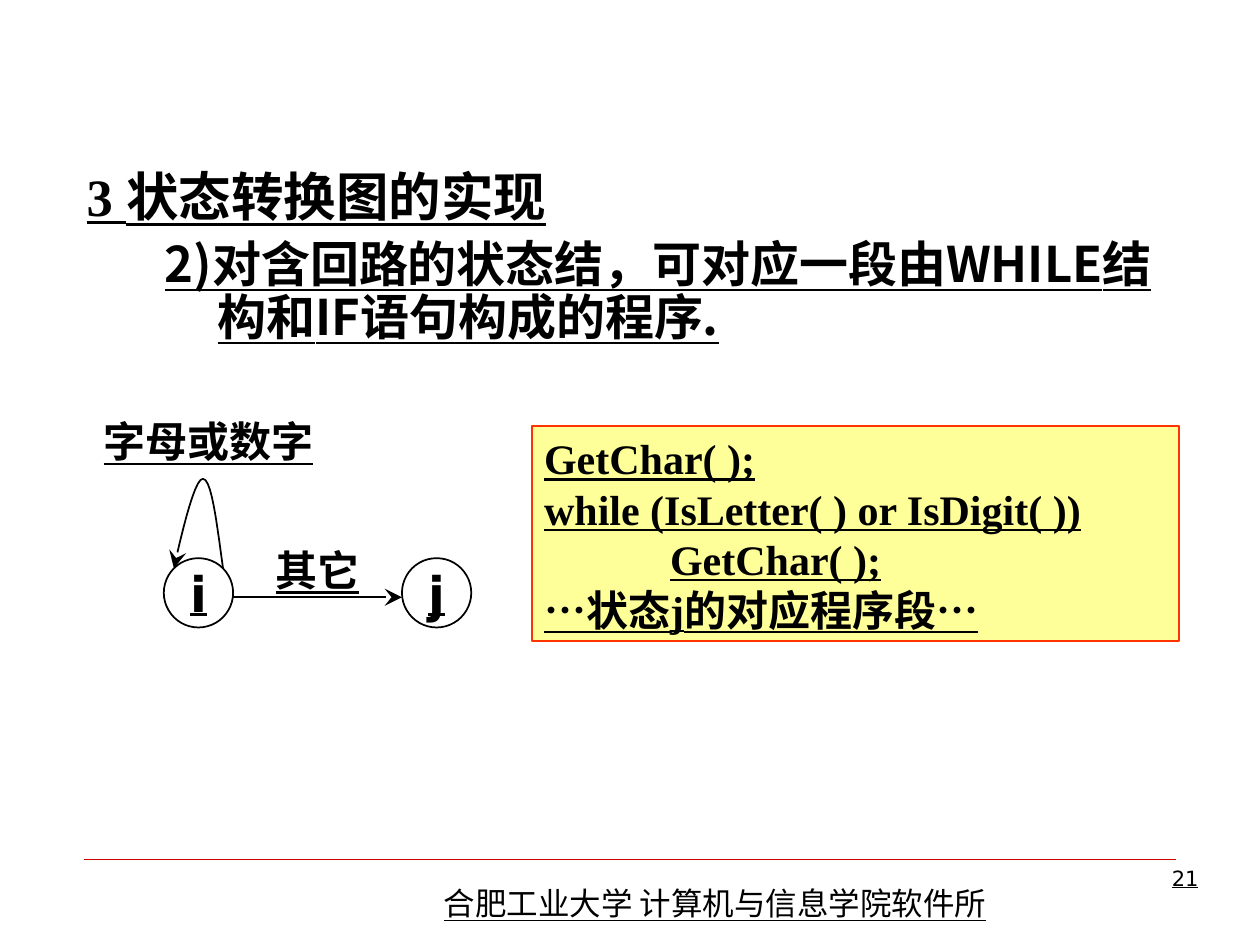
import pptx
import pptx.util
import pptx.dml.color
import pptx.enum.shapes
import pptx.enum.text
from lxml import etree
from pptx.util import Pt

BLACK = pptx.dml.color.RGBColor(0x00, 0x00, 0x00)
RED = pptx.dml.color.RGBColor(0xCC, 0x00, 0x00)
ORANGE = pptx.dml.color.RGBColor(0xFF, 0x33, 0x00)
YELLOW = pptx.dml.color.RGBColor(0xFF, 0xFF, 0x99)
CJK = "Noto Sans CJK SC"
SERIF = "Times New Roman"
SANS = "DejaVu Sans"
ALIGN = pptx.enum.text.PP_ALIGN
ANCHOR = pptx.enum.text.MSO_ANCHOR
SHAPE = pptx.enum.shapes.MSO_SHAPE


def add_text(p, text, size, font, bold=True, align=ALIGN.LEFT):
    p.alignment = align
    r = p.add_run()
    r.text = text
    r.font.size = Pt(size)
    r.font.name = font
    r.font.bold = bold
    r.font.underline = True
    r.font.color.rgb = BLACK
    ea = etree.SubElement(r._r.get_or_add_rPr(), pptx.oxml.ns.qn("a:ea"))
    ea.set("typeface", CJK)


def style_line(sp, color, width, arrow=False):
    sp.line.color.rgb = color
    sp.line.width = Pt(width)
    if arrow:
        tail = etree.SubElement(sp.line._get_or_add_ln(), pptx.oxml.ns.qn("a:tailEnd"))
        tail.set("type", "stealth")
        tail.set("w", "lg")
        tail.set("len", "lg")
    etree.SubElement(sp._element.spPr, pptx.oxml.ns.qn("a:effectLst"))


prs = pptx.Presentation()
prs.slide_width, prs.slide_height = Pt(720), Pt(540)
s = prs.slides.add_slide(prs.slide_layouts[6])

lines = [
    (48.24, 491.04, 671.76, 491.04, RED, 0.25, False),
    (133.2, 341.28, 229.68, 341.28, BLACK, 1, True),
]
for x1, y1, x2, y2, color, width, arrow in lines:
    sp = s.shapes.add_connector(
        pptx.enum.shapes.MSO_CONNECTOR.STRAIGHT, Pt(x1), Pt(y1), Pt(x2), Pt(y2))
    style_line(sp, color, width, arrow)

labels = [
    ("合肥工业大学 计算机与信息学院软件所", 246.5, 501.84, 340, 28.8, 18, CJK, False, ALIGN.LEFT),
    ("21", 535.68, 491.04, 156.24, 37.44, 12, SANS, False, ALIGN.RIGHT),
    ("字母或数字", 48.24, 234, 141.84, 36, 24, "Arial", True, ALIGN.CENTER),
    ("其它", 145.44, 307.44, 72, 36, 24, "Arial", True, ALIGN.CENTER),
]
for text, x, y, w, h, size, font, bold, align in labels:
    tf = s.shapes.add_textbox(Pt(x), Pt(y), Pt(w), Pt(h)).text_frame
    tf.word_wrap = True
    add_text(tf.paragraphs[0], text, size, font, bold, align)

tf = s.shapes.add_textbox(Pt(42.48), Pt(94.32), Pt(648), Pt(118.8)).text_frame
tf.word_wrap = True
body = [
    ([("3 ", SERIF), ("状态转换图的实现", CJK)], 30, 36.72, -36.72, 0),
    ([("2)对含回路的状态结，可对应一段由WHILE结构和IF语句构成的程序.", CJK)], 28, 74.88, -30.24, 7.1),
]
for i, (runs, size, left, indent, before) in enumerate(body):
    p = tf.paragraphs[0] if i == 0 else tf.add_paragraph()
    p.level = i
    p.line_spacing = 0.9
    p.space_before = Pt(before)
    pPr = p._p.get_or_add_pPr()
    pPr.set("marL", str(Pt(left)))
    pPr.set("indent", str(Pt(indent)))
    for text, font in runs:
        add_text(p, text, size, font)

for state, x in [("i", 93.6), ("j", 229.68)]:
    sp = s.shapes.add_shape(SHAPE.OVAL, Pt(x), Pt(318.96), Pt(39.6), Pt(39.6))
    sp.shadow.inherit = False
    sp.fill.background()
    style_line(sp, BLACK, 1)
    tf = sp.text_frame
    tf.word_wrap = False
    tf.vertical_anchor = ANCHOR.MIDDLE
    add_text(tf.paragraphs[0], state, 28, SANS, align=ALIGN.CENTER)

curves = [
    [(127.44, 324.72), (123.84, 298.8), (120.96, 273.6), (115.92, 273.6)],
    [(115.92, 273.6), (111.6, 273.6), (105.12, 298.8), (99.36, 324.72)],
]
steps = 10
points = []
for curve in curves:
    for n in range(1, steps + 1):
        t = n / steps
        weights = [(1 - t) ** 3, 3 * t * (1 - t) ** 2, 3 * t ** 2 * (1 - t), t ** 3]
        points.append(tuple(
            Pt(sum(k * c[axis] for k, c in zip(weights, curve))) for axis in (0, 1)))
fb = s.shapes.build_freeform(Pt(127.44), Pt(324.72))
fb.add_line_segments(points, close=False)
sp = fb.convert_to_shape()
sp.fill.background()
style_line(sp, BLACK, 1, arrow=True)

sp = s.shapes.add_shape(SHAPE.RECTANGLE, Pt(303.84), Pt(243.36), Pt(370.08), Pt(123.12))
sp.shadow.inherit = False
sp.fill.solid()
sp.fill.fore_color.rgb = YELLOW
style_line(sp, ORANGE, 1)
tf = sp.text_frame
tf.word_wrap = True
tf.vertical_anchor = ANCHOR.MIDDLE
code = ["GetChar( );", "while (IsLetter( ) or IsDigit( ))", "\tGetChar( );", "…状态j的对应程序段…"]
for i, text in enumerate(code):
    p = tf.paragraphs[0] if i == 0 else tf.add_paragraph()
    tabs = etree.SubElement(p._p.get_or_add_pPr(), pptx.oxml.ns.qn("a:tabLst"))
    tab = etree.SubElement(tabs, pptx.oxml.ns.qn("a:tab"))
    tab.set("pos", str(Pt(72)))
    tab.set("algn", "l")
    add_text(p, text, 24, SERIF)

prs.save("out.pptx")
